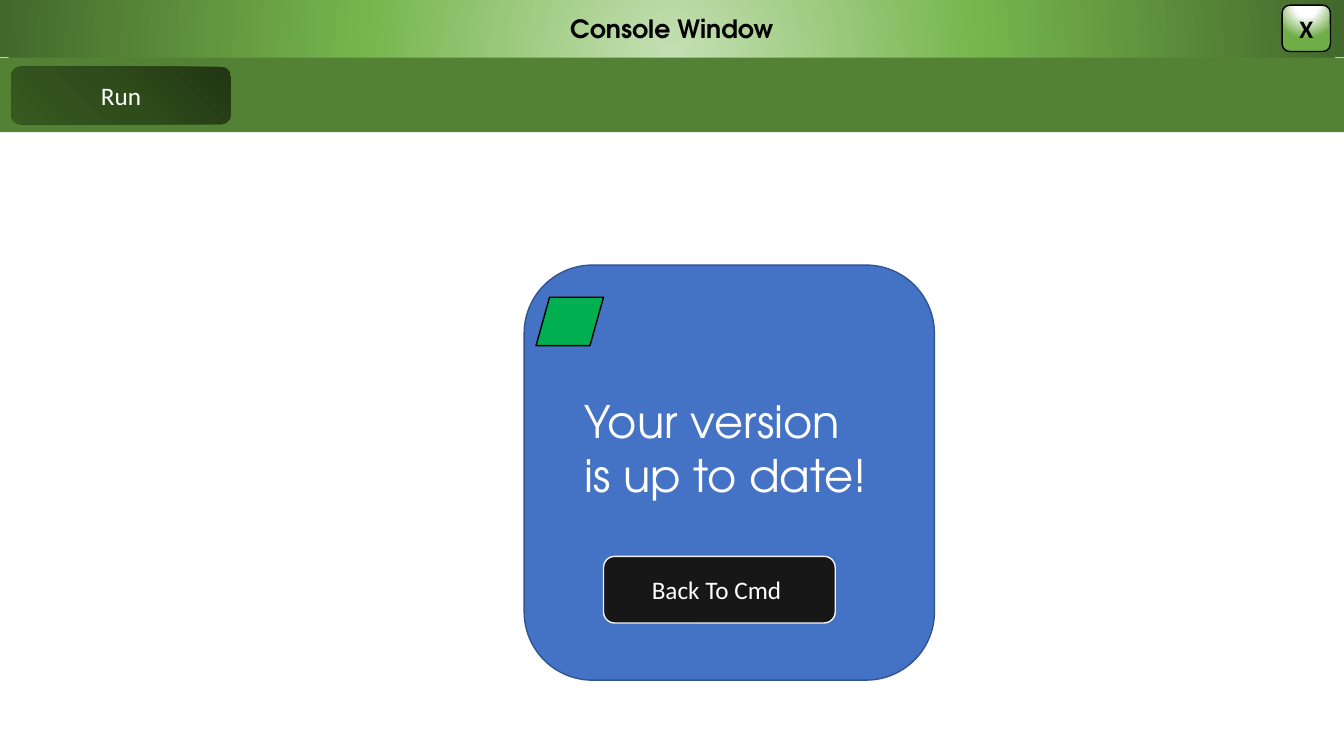
"""Build the Console Window slide with its update notice."""
from dataclasses import dataclass
from typing import Any, Optional

from lxml import etree
from pptx import Presentation
from pptx import util as u
from pptx.dml import color
from pptx.enum import shapes, text
from pptx.oxml import ns

RECT = shapes.MSO_SHAPE.RECTANGLE
ROUND = shapes.MSO_SHAPE.ROUNDED_RECTANGLE
SLANT = shapes.MSO_SHAPE.PARALLELOGRAM
WIDE, TALL = 33.87, 19.05
BAR = 1.45
SANS, GEO = "Calibri", "TeX Gyre Adventor"


@dataclass(frozen=True)
class Grad:
    stops: tuple[tuple[int, str], ...]
    focus: Optional[tuple[int, int, int, int]] = None
    angle: int = 0


@dataclass(frozen=True)
class Label:
    words: str
    face: str = SANS
    size: int = 18
    tint: str = "FFFFFF"
    bold: bool = False


@dataclass(frozen=True)
class Box:
    kind: Any
    left: float
    top: float
    width: float
    height: float
    fill: str | Grad
    line: Optional[str] = None
    label: Optional[Label] = None
    adjust: Optional[float] = None


def rgb(code: str) -> color.RGBColor:
    return color.RGBColor.from_string(code)


def shade(shape: Any, grad: Grad) -> None:
    shape.fill.gradient()
    root = shape._element.spPr.find(ns.qn("a:gradFill"))
    for child in list(root):
        root.remove(child)
    stops = etree.SubElement(root, ns.qn("a:gsLst"))
    for place, code in grad.stops:
        stop = etree.SubElement(stops, ns.qn("a:gs"), pos=str(place * 1000))
        etree.SubElement(stop, ns.qn("a:srgbClr"), val=code)
    if grad.focus:
        way = etree.SubElement(root, ns.qn("a:path"), path="circle")
        sides = {k: str(v * 1000) for k, v in zip("ltrb", grad.focus)}
        etree.SubElement(way, ns.qn("a:fillToRect"), sides)
    else:
        etree.SubElement(root, ns.qn("a:lin"), ang=str(grad.angle * 60000), scaled="0")


def write(frame: Any, label: Label, form: dict[str, Any], align: Any) -> None:
    for key, value in form.items():
        setattr(frame, key, value)
    para = frame.paragraphs[0]
    para.alignment = align
    run = para.add_run()
    run.text = label.words
    look = {"name": label.face, "size": u.Pt(label.size), "bold": label.bold}
    for key, value in look.items():
        setattr(run.font, key, value)
    run.font.color.rgb = rgb(label.tint)


def draw(slide: Any, box: Box) -> None:
    area = map(u.Cm, (box.left, box.top, box.width, box.height))
    shape = slide.shapes.add_shape(box.kind, *area)
    shape.shadow.inherit = False
    if box.adjust is not None:
        shape.adjustments[0] = box.adjust
    if isinstance(box.fill, Grad):
        shade(shape, box.fill)
    else:
        shape.fill.solid()
        shape.fill.fore_color.rgb = rgb(box.fill)
    if box.line:
        shape.line.color.rgb = rgb(box.line)
        shape.line.width = u.Pt(1)
    else:
        shape.line.fill.background()
    if box.label:
        form = {"word_wrap": True, "vertical_anchor": text.MSO_ANCHOR.MIDDLE}
        write(shape.text_frame, box.label, form, text.PP_ALIGN.CENTER)


GLOW = Grad(((0, "C5E0B4"), (46, "76B54C"), (100, "43682B")), (50, 130, 50, -30))
GLOSS = Grad(((0, "FFFFFF"), (35, "FFFFFF"), (100, "70AD47")), (50, -80, 50, 180))
MOSS = Grad(((0, "213613"), (50, "2F4C1B"), (100, "375A20")), angle=135)

BOXES = (
    Box(RECT, 0, 0, WIDE, BAR, GLOW,
        label=Label("Console Window", GEO, tint="000000", bold=True)),
    Box(ROUND, 32.31, 0.13, 1.22, 1.17, GLOSS, "000000",
        Label("X", tint="000000", bold=True)),
    Box(RECT, 0, BAR, WIDE, 1.88, "548235"),
    Box(ROUND, 0.28, 1.68, 5.54, 1.45, MOSS, label=Label("Run")),
    Box(ROUND, 13.21, 6.68, 10.34, 10.46, "4472C4", "325491"),
    Box(SLANT, 13.51, 7.49, 1.7, 1.22, "00B050", "000000", adjust=0.28),
    Box(ROUND, 15.21, 14.02, 5.84, 1.68, "181717", "F2F2F2", Label("Back To Cmd ")),
)
NOTICE = Label("Your version is up to date!", GEO, 32)


def main() -> None:
    deck = Presentation()
    deck.slide_width, deck.slide_height = u.Cm(WIDE), u.Cm(TALL)
    slide = deck.slides.add_slide(deck.slide_layouts[6])
    for box in BOXES:
        draw(slide, box)
    note = slide.shapes.add_textbox(*map(u.Cm, (14.48, 9.8, 7.8, 3)))
    form = {"word_wrap": True, "auto_size": text.MSO_AUTO_SIZE.SHAPE_TO_FIT_TEXT}
    write(note.text_frame, NOTICE, form, text.PP_ALIGN.LEFT)
    deck.save("out.pptx")


if __name__ == "__main__":
    main()
